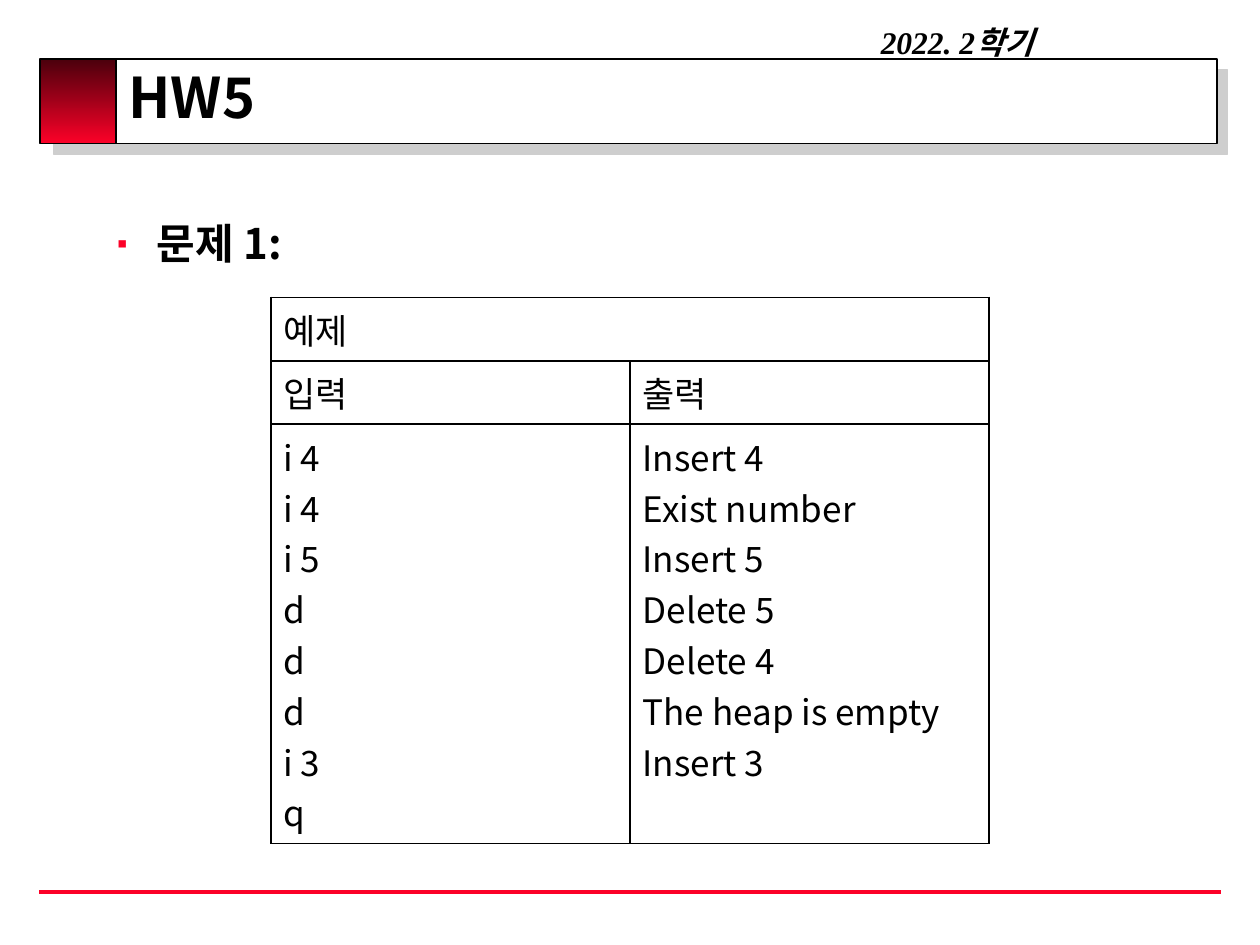
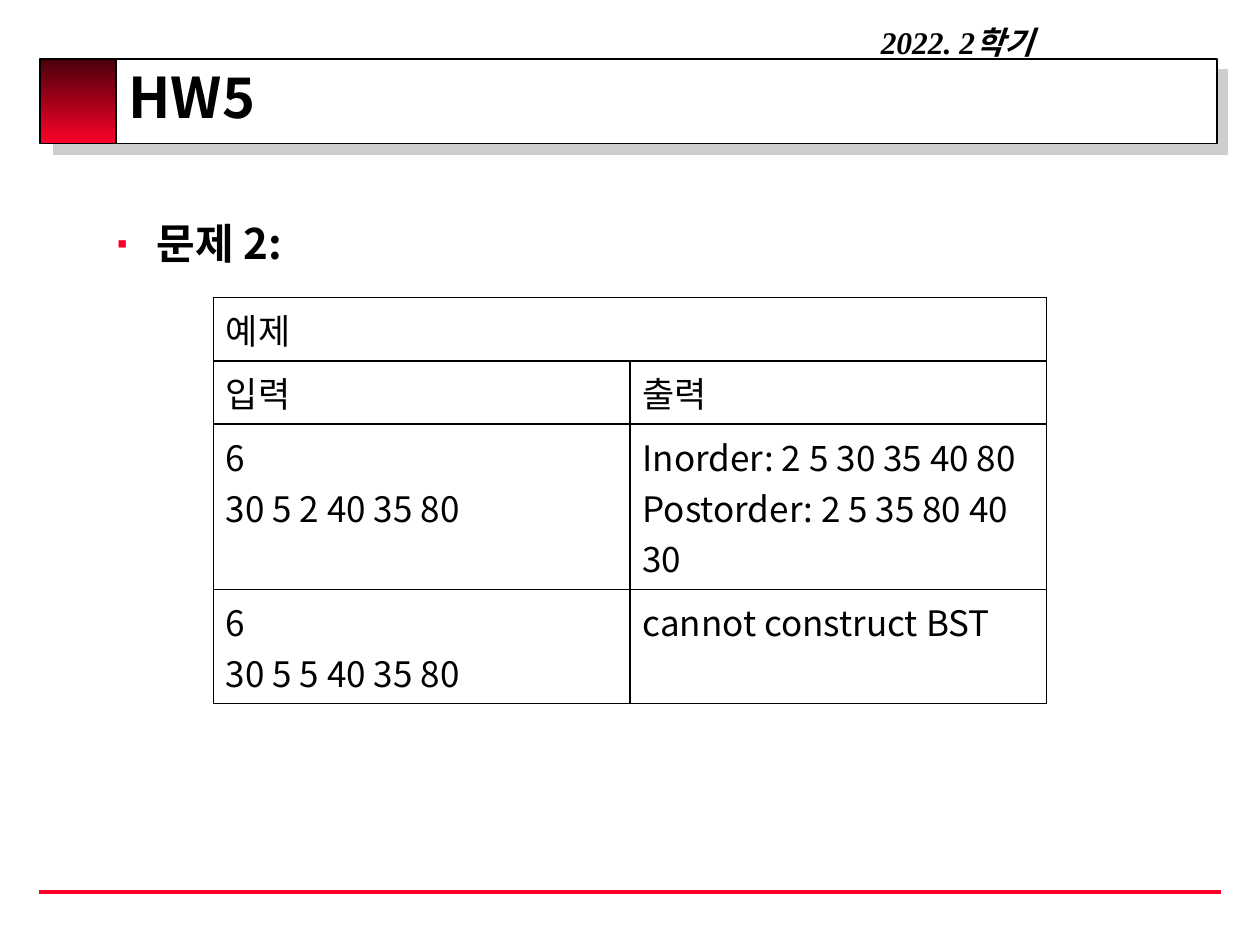
from collections import namedtuple

from lxml.etree import SubElement
from pptx import Presentation
from pptx.dml.color import RGBColor
from pptx.enum.shapes import MSO_CONNECTOR as Connector, MSO_SHAPE as Preset
from pptx.enum.text import MSO_ANCHOR as Anchor, MSO_AUTO_SIZE as AutoSize, PP_ALIGN as Align
from pptx.oxml.ns import qn
from pptx.util import Pt

COLORS = {
    "black": "000000",
    "white": "FFFFFF",
    "red": "FC0128",
    "dark_red": "4B000C",
    "shadow": "CECECE",
}
SANS = "Noto Sans CJK KR"
SERIF = "Times New Roman"

Box = namedtuple("Box", "left top width height")

SLIDE_SIZE = (720, 540)
BAND_BOX = Box(23, 33.84, 672.5, 48.24)
TERM_BOX = Box(393.84, 9.36, 306, 28.8)
FOOTER_BOX = Box(22.32, 509.76, 675.36, 0)
TITLE_BOX = Box(66.24, 31.68, 631.44, 54)
BODY_BOX = Box(59.76, 88.56, 631.44, 414)
TABLE_TOP = 169.92
HEADER_ROW = 31
DATA_ROW = 54


def rgb(name):
    return RGBColor.from_string(COLORS[name])


def points(box):
    return [Pt(length) for length in box]


def place(shape, box):
    shape.left, shape.top, shape.width, shape.height = points(box)


def add_element(parent, tag, **attributes):
    return SubElement(parent, qn(tag), attributes)


def add_shadow(parent, distance):
    shadow = add_element(parent, "a:outerShdw", blurRad="0", dist=str(Pt(distance)),
                         dir=str(45 * 60000), algn="tl", rotWithShape="0")
    add_element(shadow, "a:srgbClr", val=COLORS["shadow"])


def add_run(paragraph, text, size, font=SANS, bold=False, italic=False):
    run = paragraph.add_run()
    run.text = text
    run.font.size = Pt(size)
    run.font.bold = bold
    run.font.italic = italic
    run.font.color.rgb = rgb("black")
    run.font.name = font
    add_element(run.font._element, "a:ea", typeface=SANS)
    return run


def add_rectangle(slide, box):
    shape = slide.shapes.add_shape(Preset.RECTANGLE, *points(box))
    shape.shadow.inherit = False
    shape.line.color.rgb = rgb("black")
    shape.line.width = Pt(1)
    return shape


def add_band(slide, box):
    frame = add_rectangle(slide, Box(box.left + 1.5, box.top, box.width - 1.5, box.height))
    frame.fill.solid()
    frame.fill.fore_color.rgb = rgb("white")
    add_shadow(frame.element.spPr.find(qn("a:effectLst")), 8.5)

    accent = add_rectangle(slide, Box(box.left, box.top, 43.2, box.height))
    accent.fill.gradient()
    accent.fill.gradient_angle = 270
    for stop, color in zip(accent.fill.gradient_stops, ("dark_red", "red")):
        stop.color.rgb = rgb(color)
    return [frame, accent]


def add_footer_line(slide, box):
    line = slide.shapes.add_connector(
        Connector.STRAIGHT, *points((box.left, box.top, box.left + box.width, box.top)))
    line.line.color.rgb = rgb("red")
    line.line.width = Pt(2.25)
    add_element(line.element.spPr, "a:effectLst")
    return line


def add_term(slide, box):
    shape = slide.shapes.add_textbox(*points(box))
    frame = shape.text_frame
    frame.word_wrap = True
    frame.auto_size = AutoSize.SHAPE_TO_FIT_TEXT
    paragraph = frame.paragraphs[0]
    paragraph.alignment = Align.CENTER
    add_run(paragraph, "2022. 2학기", 18, SERIF, bold=True, italic=True)
    return shape


def decorate_layout(layout, slide):
    shapes = add_band(slide, BAND_BOX)
    shapes += [add_footer_line(slide, FOOTER_BOX), add_term(slide, TERM_BOX)]
    for position, shape in enumerate(shapes, start=2):
        layout.shapes.element.insert(position, shape.element)


def fill_title(slide, box, text):
    title = slide.shapes.title
    place(title, box)
    frame = title.text_frame
    frame.auto_size = AutoSize.NONE
    frame.vertical_anchor = Anchor.MIDDLE
    paragraph = frame.paragraphs[0]
    paragraph.alignment = Align.LEFT
    paragraph.line_spacing = 0.8
    paragraph.space_before = Pt(2)
    run = add_run(paragraph, text, 32, bold=True)
    effects = run.font._element.makeelement(qn("a:effectLst"), {})
    run.font._element.find(qn("a:latin")).addprevious(effects)
    add_shadow(effects, 2.5)


def fill_body(slide, box, text):
    body = slide.placeholders[1]
    place(body, box)
    frame = body.text_frame
    frame.auto_size = AutoSize.NONE
    frame.margin_top = Pt(36)
    paragraph = frame.paragraphs[0]
    paragraph.space_before = Pt(0)
    add_run(paragraph, text, 24, bold=True)
    properties = paragraph._p.get_or_add_pPr()
    properties.set("marL", str(Pt(22.5)))
    properties.set("indent", str(Pt(-22.5)))
    bullet_color = add_element(properties, "a:buClr")
    add_element(bullet_color, "a:srgbClr", val=COLORS["red"])
    add_element(properties, "a:buSzPct", val="70000")
    add_element(properties, "a:buChar", char="▪")


def add_borders(cell):
    properties = cell._tc.get_or_add_tcPr()
    for position, side in enumerate(("a:lnL", "a:lnR", "a:lnT", "a:lnB")):
        border = properties.makeelement(qn(side), {"w": str(Pt(1))})
        fill = add_element(border, "a:solidFill")
        add_element(fill, "a:srgbClr", val=COLORS["black"])
        properties.insert(position, border)


def fill_cell(cell, lines):
    cell.fill.background()
    add_borders(cell)
    frame = cell.text_frame
    for index, line in enumerate(lines):
        paragraph = frame.add_paragraph() if index else frame.paragraphs[0]
        add_run(paragraph, line, 20)


def add_example_table(slide, box, examples):
    rows = [(["예제"], []), (["입력"], ["출력"]), *examples]
    table = slide.shapes.add_table(len(rows), 2, *points(box)).table
    table.first_row = False
    table.horz_banding = False
    for index, row in enumerate(rows):
        table.rows[index].height = Pt(HEADER_ROW if index < 2 else DATA_ROW)
        for column, lines in enumerate(row):
            fill_cell(table.cell(index, column), lines)
    table.cell(0, 0).merge(table.cell(0, 1))


def add_problem(slide, number, table_width, examples):
    fill_title(slide, TITLE_BOX, "HW5")
    fill_body(slide, BODY_BOX, f"문제 {number}:")
    left = (SLIDE_SIZE[0] - table_width) / 2
    height = 2 * HEADER_ROW + DATA_ROW * len(examples)
    add_example_table(slide, Box(left, TABLE_TOP, table_width, height), examples)


PROBLEMS = [
    (410.4, [
        (["i 4", "i 4", "i 5", "d", "d", "d", "i 3", "q"],
         ["Insert 4", "Exist number", "Insert 5", "Delete 5", "Delete 4",
          "The heap is empty", "Insert 3"]),
    ]),
    (476.2, [
        (["6", "30 5 2 40 35 80"],
         ["Inorder: 2 5 30 35 40 80", "Postorder: 2 5 35 80 40 30"]),
        (["6", "30 5 5 40 35 80"], ["cannot construct BST"]),
    ]),
]

presentation = Presentation()
presentation.slide_width, presentation.slide_height = points(SLIDE_SIZE)
layout = presentation.slide_layouts[1]
for number, (table_width, examples) in enumerate(PROBLEMS, start=1):
    slide = presentation.slides.add_slide(layout)
    if number == 1:
        decorate_layout(layout, slide)
    add_problem(slide, number, table_width, examples)
presentation.save("out.pptx")
